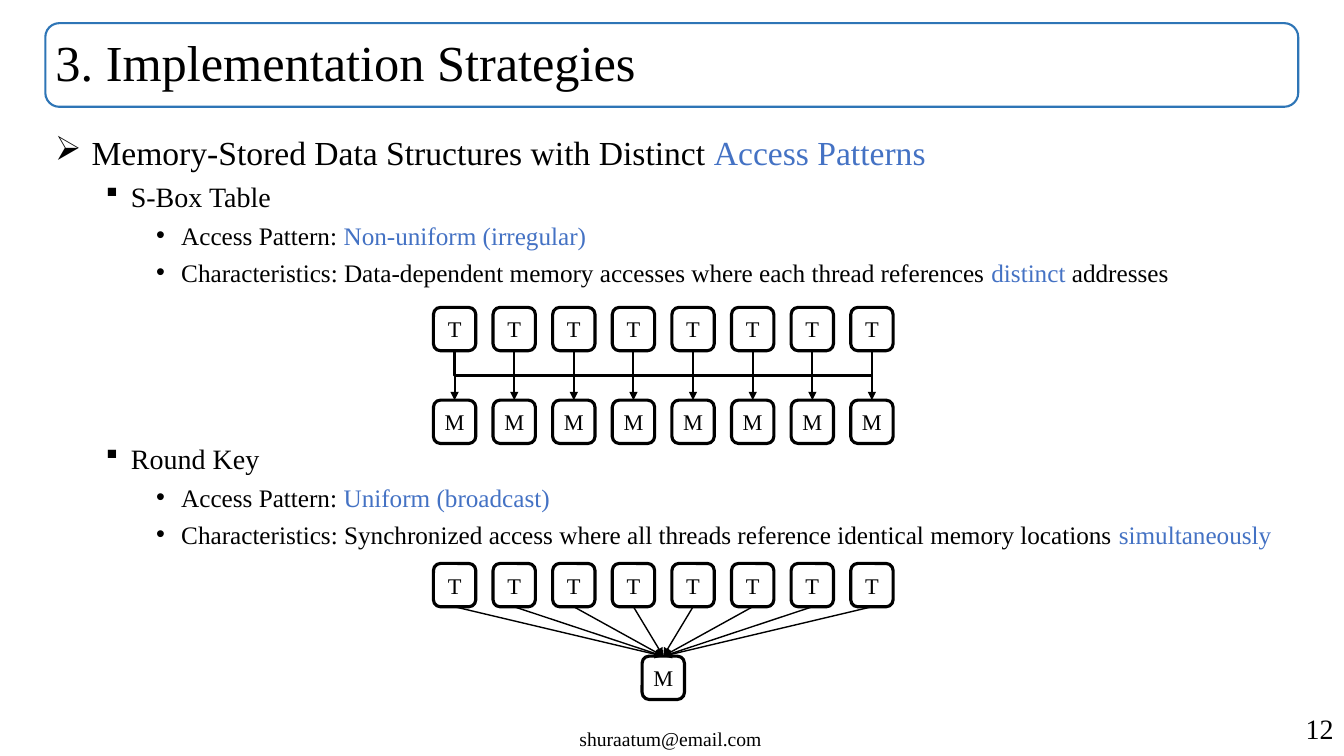
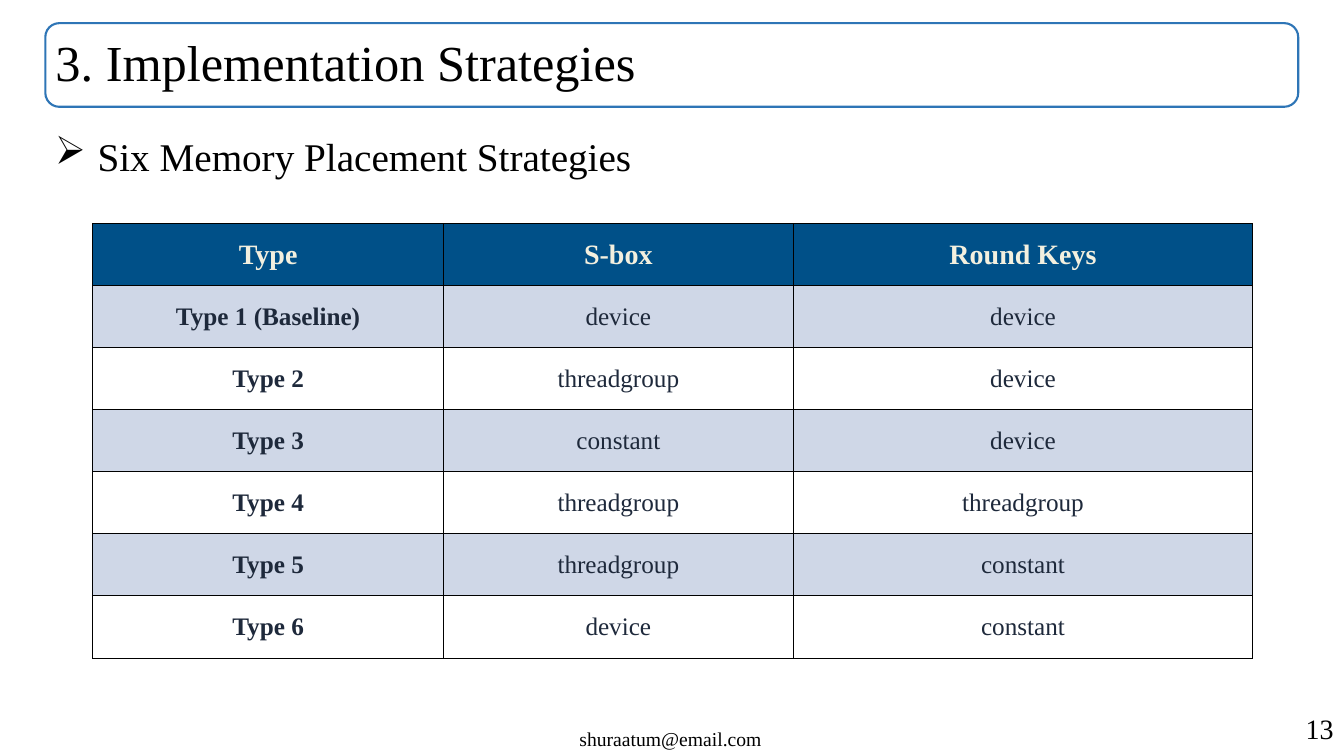
from dataclasses import dataclass

from lxml import etree
from pptx import Presentation
from pptx import util as u
from pptx.dml.color import RGBColor
from pptx.enum import shapes, text
from pptx.oxml.ns import qn

TITLE = "3. Implementation Strategies"
CONTACT = "shuraatum@email.com"
FIRST_PAGE = 12

# Odd-numbered segments of a bullet are highlighted.
ACCESS_BULLETS = [
    (0, 24, 0, ["Memory-Stored Data Structures with Distinct ", "Access Patterns"]),
    (1, 20, 5, ["S-Box Table"]),
    (2, 18, 5, ["Access Pattern: ", "Non-uniform (irregular)"]),
    (2, 18, 5, ["Characteristics: Data-dependent memory accesses where each thread references ",
                "distinct", " addresses"]),
    (1, 20, 110, ["Round Key"]),
    (2, 18, 5, ["Access Pattern: ", "Uniform (broadcast)"]),
    (2, 18, 5, ["Characteristics: Synchronized access where all threads reference identical "
                "memory locations ", "simultaneously"]),
]
PLACEMENT_BULLETS = [(0, 28, 0, ["Six Memory Placement Strategies"])]
PLACEMENTS = [
    ("Type", "S-box", "Round Keys"),
    ("Type 1 (Baseline)", "device", "device"),
    ("Type 2", "threadgroup", "device"),
    ("Type 3", "constant", "device"),
    ("Type 4", "threadgroup", "threadgroup"),
    ("Type 5", "threadgroup", "constant"),
    ("Type 6", "device", "constant"),
]
BULLET_MARKS = [("Wingdings", "Ø"), ("Wingdings", "§"), ("Arial", "•")]

NODE_COUNT = 8
NODE_LEFT, NODE_SPAN = 430, 414
NODE_WIDTH, NODE_HEIGHT = 42, 43
LEVEL_GAP = 92
SCATTER_TOP, BROADCAST_TOP = 305, 559
TABLE_LEFT, TABLE_TOP, TABLE_HEIGHT = 92, 222, 431
COLUMN_WIDTHS = [348, 347, 456]


@dataclass(frozen=True)
class Theme:
    font: str = "Times New Roman"
    ink: str = "000000"
    accent: str = "4472C4"
    frame: str = "2E75B6"
    header_fill: str = "005088"
    header_ink: str = "F3F0DF"
    cell_ink: str = "1E293B"
    band: str = "CFD7E7"
    paper: str = "FFFFFF"
    title_size: int = 36
    page_size: int = 20
    contact_size: int = 14
    node_size: int = 16
    header_size: int = 20
    cell_size: int = 18


THEME = Theme()


def px(length):
    return u.Emu(round(length * 9144))


def rgb(value):
    return RGBColor.from_string(value)


def style(paragraph, size, color=THEME.ink, bold=False, align=None):
    paragraph.alignment = align
    font = paragraph.font
    font.name, font.size, font.bold = THEME.font, u.Pt(size), bold
    font.color.rgb = rgb(color)


def set_line(item, color, width):
    item.line.color.rgb = rgb(color)
    item.line.width = u.Pt(width)


def add_text_box(slide, left, top, width, height, wrap=True):
    box = slide.shapes.add_textbox(px(left), px(top), px(width), px(height))
    box.text_frame.word_wrap = wrap
    return box.text_frame


def add_frame(slide, left, top, width, height, color, line_width, words):
    shape = slide.shapes.add_shape(shapes.MSO_SHAPE.ROUNDED_RECTANGLE,
                                   px(left), px(top), px(width), px(height))
    shape.shadow.inherit = False
    shape.fill.background()
    set_line(shape, color, line_width)
    frame = shape.text_frame
    frame.vertical_anchor = text.MSO_ANCHOR.MIDDLE
    frame.margin_left = frame.margin_right = frame.margin_top = frame.margin_bottom = 0
    frame.text = words
    return shape


def add_base_slide(presentation, page):
    slide = presentation.slides.add_slide(presentation.slide_layouts[6])
    title = add_frame(slide, 45, 23, 1243, 83, THEME.frame, 1.5, TITLE).text_frame
    title.margin_left = px(6)
    title.paragraphs[0].line_spacing = 0.9
    style(title.paragraphs[0], THEME.title_size, align=text.PP_ALIGN.LEFT)

    contact = add_text_box(slide, 565, 716, 204, 34, wrap=False)
    contact.text = CONTACT
    style(contact.paragraphs[0], THEME.contact_size)

    number = add_text_box(slide, 943, 701, 390, 44)
    number.text = str(page)
    style(number.paragraphs[0], THEME.page_size, align=text.PP_ALIGN.RIGHT)
    return slide


def set_bullet(paragraph, level, size):
    hanging = 25 if level else 1.5 * size
    margin = 25 + 50 * level if level else hanging
    properties = paragraph._p.get_or_add_pPr()
    properties.set("marL", str(px(margin)))
    properties.set("indent", str(px(-hanging)))
    typeface, mark = BULLET_MARKS[level]
    etree.SubElement(properties, qn("a:buFont"), typeface=typeface)
    etree.SubElement(properties, qn("a:buChar"), char=mark)


def add_bullets(slide, bullets):
    frame = add_text_box(slide, 45, 126, 1243, 540)
    for index, (level, size, space, segments) in enumerate(bullets):
        paragraph = frame.add_paragraph() if index else frame.paragraphs[0]
        paragraph.level = level
        set_bullet(paragraph, level, size)
        paragraph.space_before = u.Pt(space)
        style(paragraph, size)
        for position, segment in enumerate(segments):
            run = paragraph.add_run()
            run.text = segment
            if position % 2:
                run.font.color.rgb = rgb(THEME.accent)


def add_node(slide, left, top, letter):
    node = add_frame(slide, left, top, NODE_WIDTH, NODE_HEIGHT, THEME.ink, 2.25, letter)
    style(node.text_frame.paragraphs[0], THEME.node_size, align=text.PP_ALIGN.CENTER)
    return node


def add_arrow(slide, kind, start, end, width):
    arrow = slide.shapes.add_connector(kind, *map(px, (*start, *end)))
    set_line(arrow, THEME.ink, width)
    etree.SubElement(arrow.line._get_or_add_ln(), qn("a:tailEnd"), type="triangle")
    etree.SubElement(arrow._element.spPr, qn("a:effectLst"))
    return arrow


def add_vertical_elbow(slide, start, end):
    (x1, y1), (x2, y2) = start, end
    center_x, center_y = (x1 + x2) / 2, (y1 + y2) / 2
    half_drop, half_span = (y2 - y1) / 2, abs(x2 - x1) / 2
    rightward = x2 > x1
    side = half_drop if rightward else -half_drop
    arrow = add_arrow(slide, shapes.MSO_CONNECTOR.ELBOW,
                      (center_x + side, center_y - half_span),
                      (center_x - side, center_y + half_span), 1.5)
    quarter_turns = 3 if rightward else 1
    arrow._element.spPr.find(qn("a:xfrm")).set("rot", str(quarter_turns * 5400000))


def add_scatter(slide, lefts, top):
    for left in lefts:
        add_node(slide, left, top, "T")
        add_node(slide, left, top + LEVEL_GAP, "M")
    centers = [left + NODE_WIDTH / 2 for left in lefts]
    for source, target in zip(centers, reversed(centers)):
        add_vertical_elbow(slide, (source, top + NODE_HEIGHT), (target, top + LEVEL_GAP))


def add_broadcast(slide, lefts, top):
    memory_left = NODE_LEFT + NODE_SPAN / 2
    memory = add_node(slide, memory_left, top + LEVEL_GAP, "M")
    target = (memory_left + NODE_WIDTH / 2, top + LEVEL_GAP)
    for left in lefts:
        thread = add_node(slide, left, top, "T")
        arrow = add_arrow(slide, shapes.MSO_CONNECTOR.STRAIGHT,
                          (left + NODE_WIDTH / 2, top + NODE_HEIGHT), target, 1)
        arrow.begin_connect(thread, 2)
        arrow.end_connect(memory, 0)


def set_borders(cell):
    properties = cell._tc.get_or_add_tcPr()
    for edge in ("a:lnL", "a:lnR", "a:lnT", "a:lnB"):
        line = etree.SubElement(properties, qn(edge), w=str(u.Pt(0.75)))
        fill = etree.SubElement(line, qn("a:solidFill"))
        etree.SubElement(fill, qn("a:srgbClr"), val=THEME.ink)


def add_placement_table(slide):
    row_count = len(PLACEMENTS)
    table = slide.shapes.add_table(row_count, len(COLUMN_WIDTHS), px(TABLE_LEFT), px(TABLE_TOP),
                                   px(sum(COLUMN_WIDTHS)), px(TABLE_HEIGHT)).table
    for column, width in zip(table.columns, COLUMN_WIDTHS):
        column.width = px(width)
    for row_index, values in enumerate(PLACEMENTS):
        table.rows[row_index].height = px(TABLE_HEIGHT / row_count)
        header = row_index == 0
        fill = THEME.header_fill if header else THEME.band if row_index % 2 else THEME.paper
        color = THEME.header_ink if header else THEME.cell_ink
        size = THEME.header_size if header else THEME.cell_size
        for column_index, value in enumerate(values):
            cell = table.cell(row_index, column_index)
            cell.text = value
            cell.vertical_anchor = text.MSO_ANCHOR.MIDDLE
            cell.margin_left = cell.margin_right = px(7)
            cell.margin_top = cell.margin_bottom = px(3)
            set_borders(cell)
            cell.fill.solid()
            cell.fill.fore_color.rgb = rgb(fill)
            style(cell.text_frame.paragraphs[0], size, color,
                  header or column_index == 0, text.PP_ALIGN.CENTER)


def main():
    presentation = Presentation()
    presentation.slide_width, presentation.slide_height = px(1333.33), px(750)

    access = add_base_slide(presentation, FIRST_PAGE)
    add_bullets(access, ACCESS_BULLETS)
    lefts = [NODE_LEFT + NODE_SPAN * index / (NODE_COUNT - 1) for index in range(NODE_COUNT)]
    add_scatter(access, lefts, SCATTER_TOP)
    add_broadcast(access, lefts, BROADCAST_TOP)

    placement = add_base_slide(presentation, FIRST_PAGE + 1)
    add_bullets(placement, PLACEMENT_BULLETS)
    add_placement_table(placement)

    presentation.save("out.pptx")


if __name__ == "__main__":
    main()
